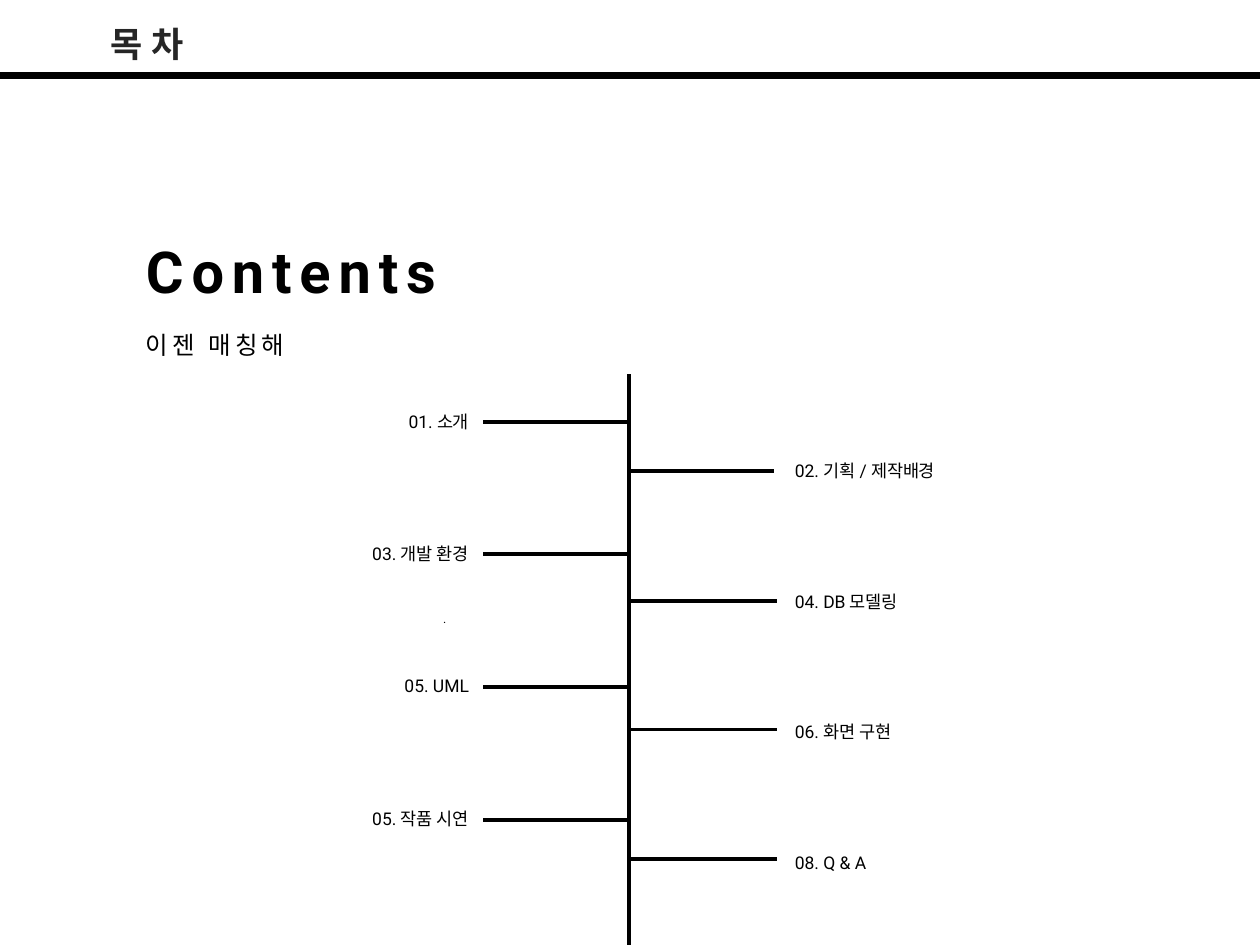
import pptx
import pptx.util
import pptx.dml.color
import pptx.enum.shapes
import pptx.enum.text
import pptx.oxml.ns
from lxml import etree

Inches = pptx.util.Inches
ALIGN = pptx.enum.text.PP_ALIGN
COLORS = {"ink": "000000", "heading": "262626"}
FONT = "Roboto"

SPINE_X = 5
LEFT_END, RIGHT_END = 3.83, 6.17
LEFT_LABEL_EDGE, RIGHT_LABEL_EDGE = 3.82, 6.21
LABEL_WIDTH, LABEL_HEIGHT = 1.7, 0.27

# Text, branch height, label top, outer end of the branch
CHAPTERS = [
    ("01. 소개", 3.35, 3.21, LEFT_END),
    ("02. 기획 / 제작배경", 3.74, 3.6, 6.14),
    ("03. 개발 환경", 4.4, 4.26, LEFT_END),
    ("04. DB 모델링", 4.77, 4.64, RIGHT_END),
    ("05. UML", 5.45, 5.31, LEFT_END),
    ("06. 화면 구현", 5.79, 5.67, RIGHT_END),
    ("05. 작품 시연", 6.51, 6.36, LEFT_END),
    ("08. Q & A", 6.82, 6.71, RIGHT_END),
]


def rgb(name):
    return pptx.dml.color.RGBColor.from_string(COLORS[name])


def add_line(slide, start, end, width=2.25):
    line = slide.shapes.add_connector(
        pptx.enum.shapes.MSO_CONNECTOR.STRAIGHT,
        *(Inches(value) for value in (*start, *end)))
    line.line.color.rgb = rgb("ink")
    line.line.width = pptx.util.Pt(width)
    etree.SubElement(line._element.spPr, pptx.oxml.ns.qn("a:effectLst"))


def write(frame, text, size, color="ink", bold=False, spacing=0, align=ALIGN.LEFT):
    """Put one styled run in the frame; spacing is letter spacing in points."""
    frame.word_wrap = True
    frame.auto_size = pptx.enum.text.MSO_AUTO_SIZE.SHAPE_TO_FIT_TEXT
    frame.vertical_anchor = pptx.enum.text.MSO_ANCHOR.TOP
    paragraph = frame.paragraphs[0]
    paragraph.alignment = align
    run = paragraph.add_run()
    run.text = text
    run.font.size = pptx.util.Pt(size)
    run.font.bold = bold
    run.font.color.rgb = rgb(color)
    run.font.name = FONT
    properties = run._r.get_or_add_rPr()
    etree.SubElement(properties, pptx.oxml.ns.qn("a:ea"), typeface=FONT)
    if spacing:
        properties.set("spc", str(round(spacing * 100)))
    return paragraph


def add_text(slide, box, text, size, **style):
    label = slide.shapes.add_textbox(*(Inches(value) for value in box))
    return write(label.text_frame, text, size, **style)


def add_heading(slide):
    heading = slide.shapes.title
    heading.left, heading.top = Inches(0.78), Inches(0.13)
    heading.width, heading.height = Inches(8.45), Inches(0.44)
    write(heading.text_frame, "목차", 20, color="heading", bold=True, spacing=4.5)
    add_line(slide, (0, 0.6), (10, 0.6), width=4)


def add_chapter(slide, text, branch_y, label_top, branch_end):
    on_left = branch_end < SPINE_X
    add_line(slide, (SPINE_X, branch_y), (branch_end, branch_y))
    left = LEFT_LABEL_EDGE - LABEL_WIDTH if on_left else RIGHT_LABEL_EDGE
    add_text(slide, (left, label_top, LABEL_WIDTH, LABEL_HEIGHT), text, 10,
             align=ALIGN.RIGHT if on_left else ALIGN.LEFT)


def main():
    deck = pptx.Presentation()
    deck.slide_width, deck.slide_height = Inches(10), Inches(7.5)
    slide = deck.slides.add_slide(deck.slide_layouts[5])

    add_heading(slide)
    add_text(slide, (1.06, 1.82, 2.9, 0.66), "Contents", 33, bold=True, spacing=4.5)
    add_text(slide, (1.06, 2.57, 3.56, 0.34), "이젠 매칭해", 14, spacing=2.2)

    add_line(slide, (4.99, 2.97), (4.99, 7.5))
    for chapter in CHAPTERS:
        add_chapter(slide, *chapter)
    dot = add_text(slide, (0.83, 4.74, 2.81, 0.28), ".", 7, align=ALIGN.RIGHT)
    dot.line_spacing = 1.5

    deck.save("out.pptx")


if __name__ == "__main__":
    main()
